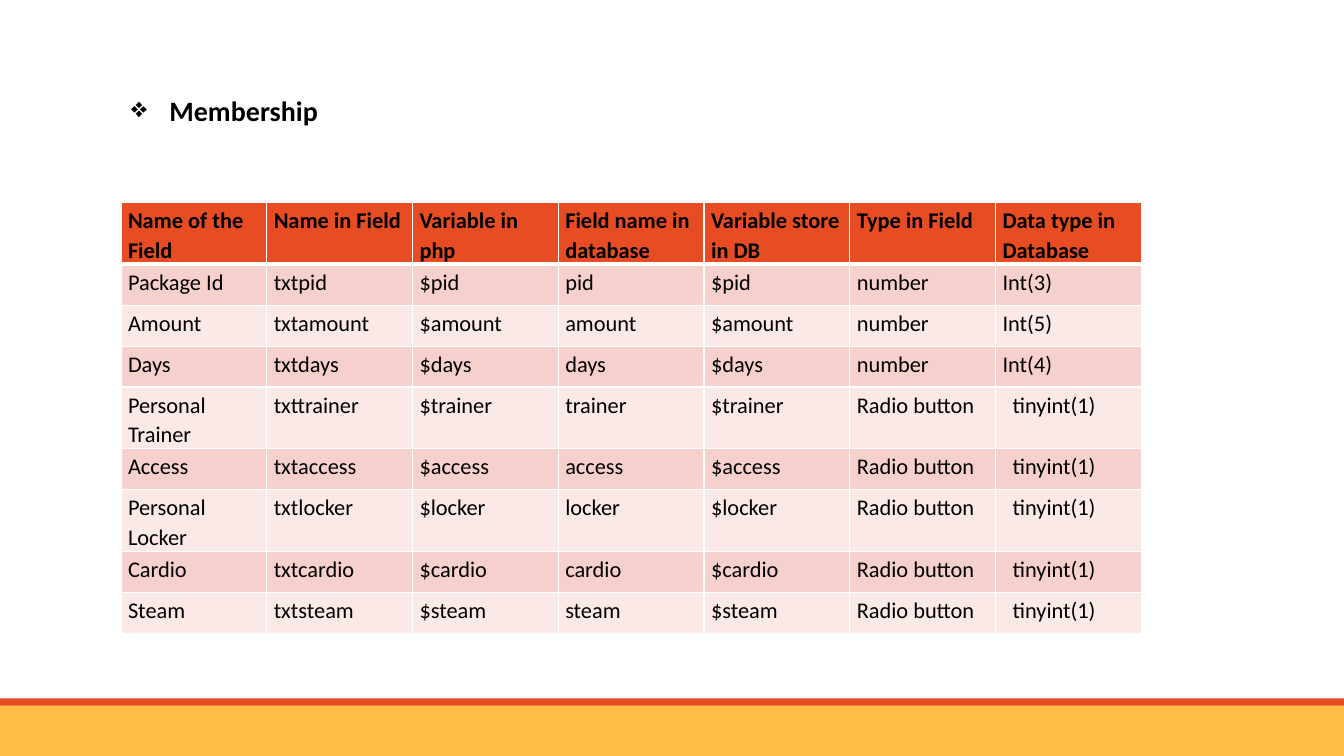
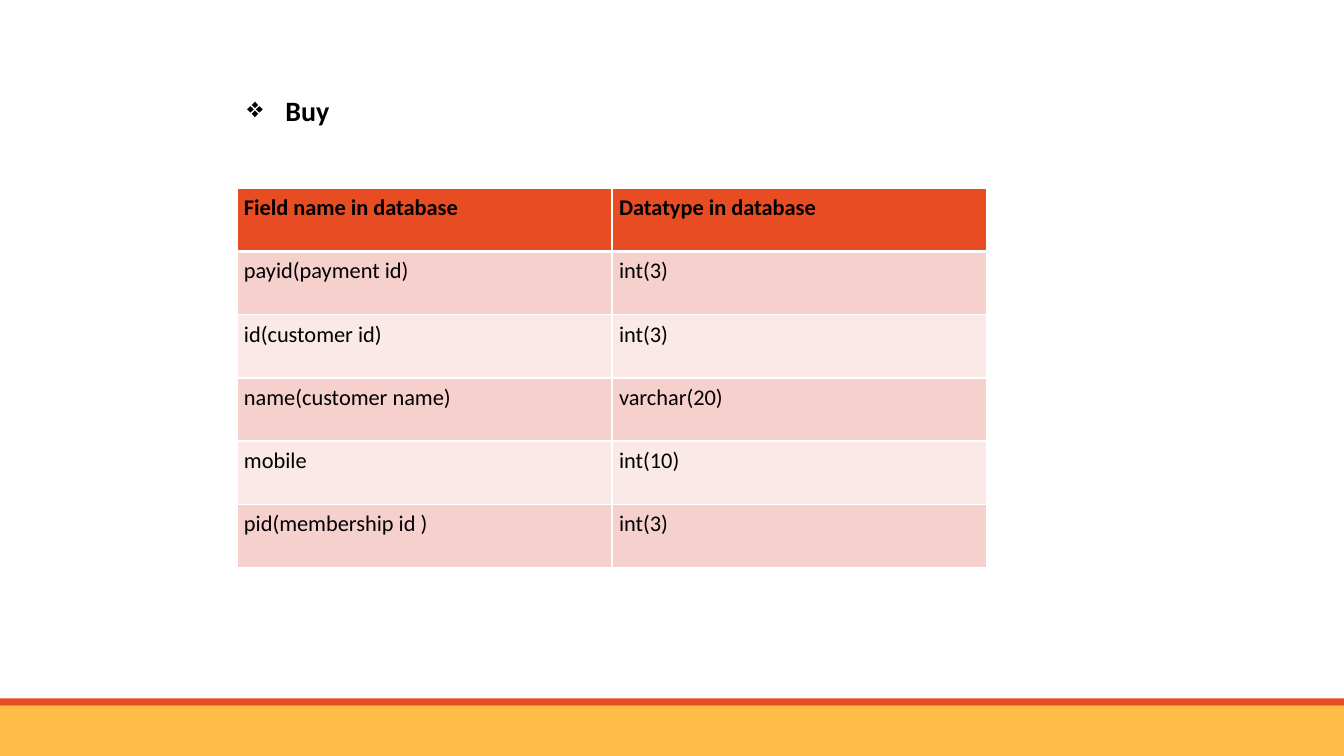
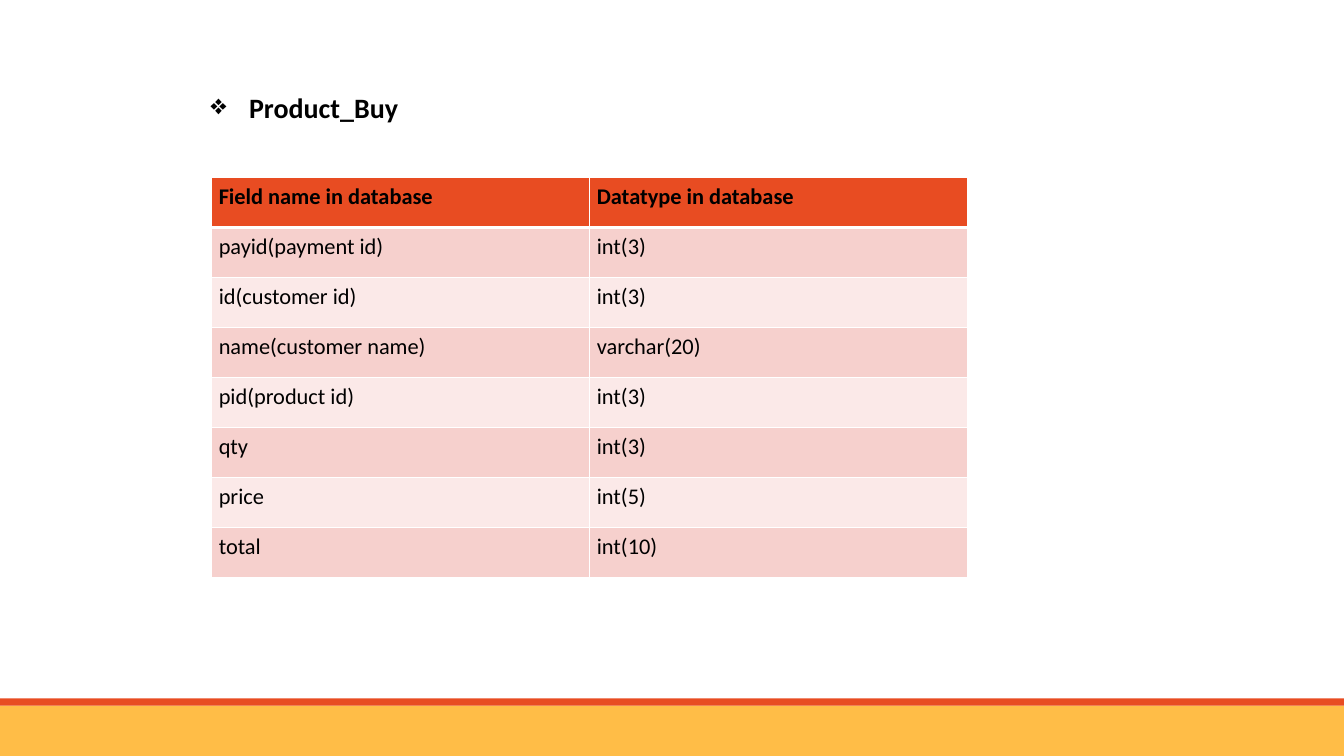
from dataclasses import dataclass

from lxml.etree import SubElement
from pptx import Presentation
from pptx.dml.color import RGBColor
from pptx.enum.shapes import MSO_SHAPE
from pptx.enum.text import MSO_ANCHOR, MSO_AUTO_SIZE, PP_ALIGN
from pptx.oxml.ns import qn
from pptx.util import Inches, Pt


@dataclass(frozen=True)
class Theme:
    font: str = "Calibri"
    title_size: int = 20
    cell_size: int = 16
    text: str = "000000"
    orange: str = "E84C22"
    amber: str = "FFBD47"
    white: str = "FFFFFF"
    bands: tuple = ("FBE9E8", "F6D0CD")


theme = Theme()


def add_span(para, text, size, bold):
    span = para.add_run()
    span.text = text
    span.font.name = theme.font
    span.font.size = Pt(size)
    span.font.bold = bold
    span.font.color.rgb = RGBColor.from_string(theme.text)


def add_border(cell, side, width):
    line = SubElement(cell._tc.get_or_add_tcPr(), qn(f"a:{side}"), w=str(Pt(width)))
    fill = SubElement(line, qn("a:solidFill"))
    SubElement(fill, qn("a:srgbClr"), val=theme.white)


membership_fields = [
    ("Package Id", "pid", "number", "Int(3)"),
    ("Amount", "amount", "number", "Int(5)"),
    ("Days", "days", "number", "Int(4)"),
    ("Personal Trainer", "trainer", "Radio button", "tinyint(1)"),
    ("Access", "access", "Radio button", "tinyint(1)"),
    ("Personal Locker", "locker", "Radio button", "tinyint(1)"),
    ("Cardio", "cardio", "Radio button", "tinyint(1)"),
    ("Steam", "steam", "Radio button", "tinyint(1)"),
]
membership_rows = [
    ("Name of the Field", "Name in Field", "Variable in php", "Field name in database",
     "Variable store in DB", "Type in Field", "Data type in Database"),
]
for label, key, control, data_type in membership_fields:
    membership_rows.append(
        (label, f"txt{key}", f"${key}", key, f"${key}", control, data_type))

payment_rows = [
    ("Field name in database", "Datatype in database"),
    ("payid(payment id)", "int(3)"),
    ("id(customer id)", "int(3)"),
    ("name(customer name)", "varchar(20)"),
]
buy_rows = payment_rows + [
    ("mobile", "int(10)"),
    ("pid(membership id )", "int(3)"),
]
product_buy_rows = payment_rows + [
    ("pid(product id)", "int(3)"),
    ("qty", "int(3)"),
    ("price", "int(5)"),
    ("total", "int(10)"),
]

pages = [
    ("Membership", (1.2, 0.88, 11.06, 1.11), (1.2, 2.01, 10.12, 3.66),
     (0.03, 0.03), membership_rows),
    ("Buy", (2.35, 0.88, 11.12, 1.11), (2.35, 1.87, 7.44, 3.76),
     (0.04, 0.08), buy_rows),
    ("Product_Buy", (1.99, 0.85, 11.15, 1.11), (2.1, 1.76, 7.5, 3.97),
     (0.04, 0.08), product_buy_rows),
]

deck = Presentation()
deck.slide_width = Inches(13.33)
deck.slide_height = Inches(7.5)
layout = deck.slide_layouts[5]
for holder in list(layout.placeholders)[1:]:
    layout.shapes.element.remove(holder.element)

for number, (heading, title_place, table_place, insets, rows) in enumerate(pages):
    page = deck.slides.add_slide(layout)

    if number == 0:
        for top, height, color in ((7, 0.5, theme.amber), (6.93, 0.07, theme.orange)):
            band = page.shapes.add_shape(
                MSO_SHAPE.RECTANGLE, 0, Inches(top), deck.slide_width, Inches(height))
            band.shadow.inherit = False
            band.fill.solid()
            band.fill.fore_color.rgb = RGBColor.from_string(color)
            band.line.fill.background()
            layout.shapes.element.append(band.element)

    title = page.shapes.title
    title.left, title.top, title.width, title.height = map(Inches, title_place)
    frame = title.text_frame
    frame.word_wrap = True
    frame.auto_size = MSO_AUTO_SIZE.NONE
    frame.vertical_anchor = MSO_ANCHOR.TOP
    para = frame.paragraphs[0]
    para.alignment = PP_ALIGN.LEFT
    properties = para._p.get_or_add_pPr()
    properties.set("marL", str(Inches(0.38)))
    properties.set("indent", str(Inches(-0.38)))
    SubElement(properties, qn("a:buChar"), char="❖")
    add_span(para, heading, theme.title_size, True)

    table = page.shapes.add_table(
        len(rows), len(rows[0]), *map(Inches, table_place)).table
    table.horz_banding = False
    top_inset, right_inset = insets
    for row_index, row in enumerate(rows):
        is_header = row_index == 0
        color = theme.orange if is_header else theme.bands[row_index % 2]
        borders = {"lnL": 1, "lnR": 1,
                   "lnT": 3 if row_index == 1 else 1,
                   "lnB": 3 if is_header else 1}
        for column_index, text in enumerate(row):
            cell = table.cell(row_index, column_index)
            cell.margin_left = Inches(0.07)
            cell.margin_top = Inches(top_inset)
            cell.margin_right = Inches(right_inset)
            cell.margin_bottom = 0
            for side, width in borders.items():
                add_border(cell, side, width)
            cell.fill.solid()
            cell.fill.fore_color.rgb = RGBColor.from_string(color)
            para = cell.text_frame.paragraphs[0]
            para.line_spacing = 1.07
            para.space_after = Pt(8)
            if text == "tinyint(1)":
                para._p.get_or_add_pPr().set("marL", str(Inches(0.1)))
            add_span(para, text, theme.cell_size, is_header)

deck.save("out.pptx")
